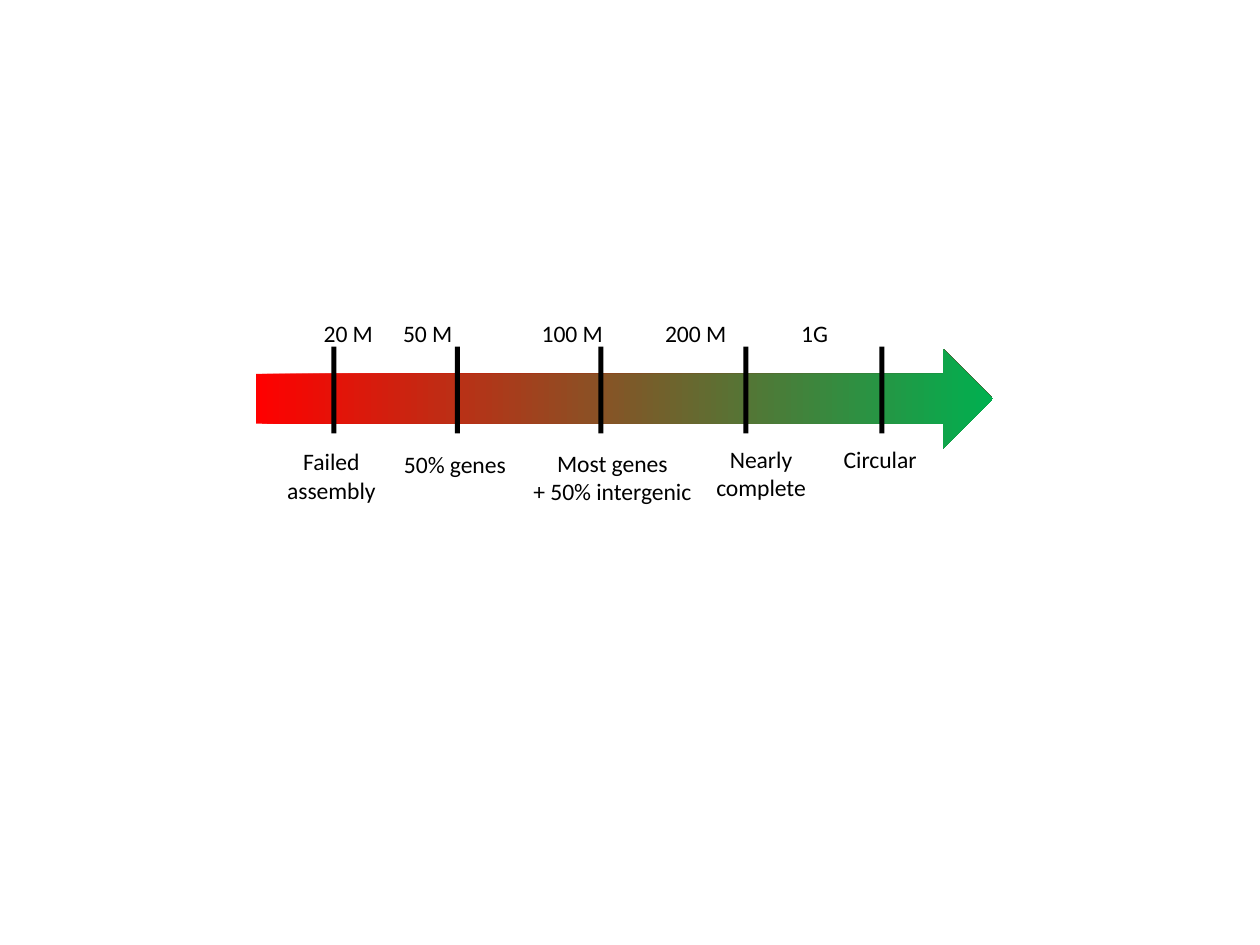
"""Build a slide with a read-depth arrow and the assembly quality at each step."""
from pptx import Presentation
from pptx.dml.color import RGBColor as Rgb
from pptx.enum.shapes import MSO_SHAPE as Kind
from pptx.enum.text import MSO_AUTO_SIZE as Fit, PP_ALIGN as Align
from pptx.oxml.ns import qn
from pptx.util import Inches, Pt
from lxml.etree import SubElement

FONT, SIZE, BLACK = "Calibri", 13.5, "000000"
RED, GREEN = "FF0000", "00B050"
ARROW = (2.03, 2.77, 5.85, 0.79)
TICKS = [2.63, 3.61, 4.75, 5.9, 6.98]
DEPTHS = ["20 M", "50 M", "100 M", "200 M", "1G"]
STOPS = [0.63, 1.73, 2.71, 3.79]
STAGES = [
    (2.17, 3.5, 0.92, ["Failed", "assembly"]),
    (3.1, 3.52, 1.02, ["50% genes"]),
    (4.12, 3.51, 1.48, ["Most genes", "+ 50% intergenic"]),
    (5.58, 3.48, 0.92, ["Nearly", "complete"]),
    (6.59, 3.48, 0.79, ["Circular"]),
]


def color(code):
    return Rgb.from_string(code)


def add_shape(slide, kind, box):
    shape = slide.shapes.add_shape(kind, *map(Inches, box))
    shape.shadow.inherit = False
    shape.line.fill.background()
    return shape


def add_text(slide, left, top, width, lines, align, wrap):
    high = 0.1 + 0.23 * len(lines)
    box = slide.shapes.add_textbox(*map(Inches, (left, top, width, high)))
    frame = box.text_frame
    frame.word_wrap = wrap
    frame.auto_size = Fit.SHAPE_TO_FIT_TEXT
    for i, line in enumerate(lines):
        para = frame.add_paragraph() if i else frame.paragraphs[0]
        para.alignment = align
        run = para.add_run()
        run.text = line
        run.font.name, run.font.size = FONT, Pt(SIZE)
        run.font.color.rgb = color(BLACK)
    return frame


def add_arrow(slide):
    fill = add_shape(slide, Kind.RIGHT_ARROW, ARROW).fill
    fill.gradient()
    fill.gradient_angle = 0
    for stop, code, place in zip(fill.gradient_stops, (RED, GREEN), (0, 1)):
        stop.color.rgb = color(code)
        stop.position = place


def add_ticks(slide):
    for left in TICKS:
        tick = add_shape(slide, Kind.RECTANGLE, (left, 2.75, 0.04, 0.69))
        tick.fill.solid()
        tick.fill.fore_color.rgb = color(BLACK)


def add_depths(slide):
    frame = add_text(slide, 2.47, 2.48, 5.22, ["\t".join(DEPTHS)], Align.LEFT, True)
    props = frame.paragraphs[0]._p.get_or_add_pPr()
    tabs = SubElement(props, qn("a:tabLst"))
    for stop in STOPS:
        SubElement(tabs, qn("a:tab"), pos=str(Inches(stop)), algn="l")


def main():
    deck = Presentation()
    deck.slide_width, deck.slide_height = Inches(10), Inches(7.5)
    slide = deck.slides.add_slide(deck.slide_layouts[6])
    add_arrow(slide)
    add_ticks(slide)
    add_depths(slide)
    for left, top, width, lines in STAGES:
        add_text(slide, left, top, width, lines, Align.CENTER, False)
    deck.save("out.pptx")


if __name__ == "__main__":
    main()
